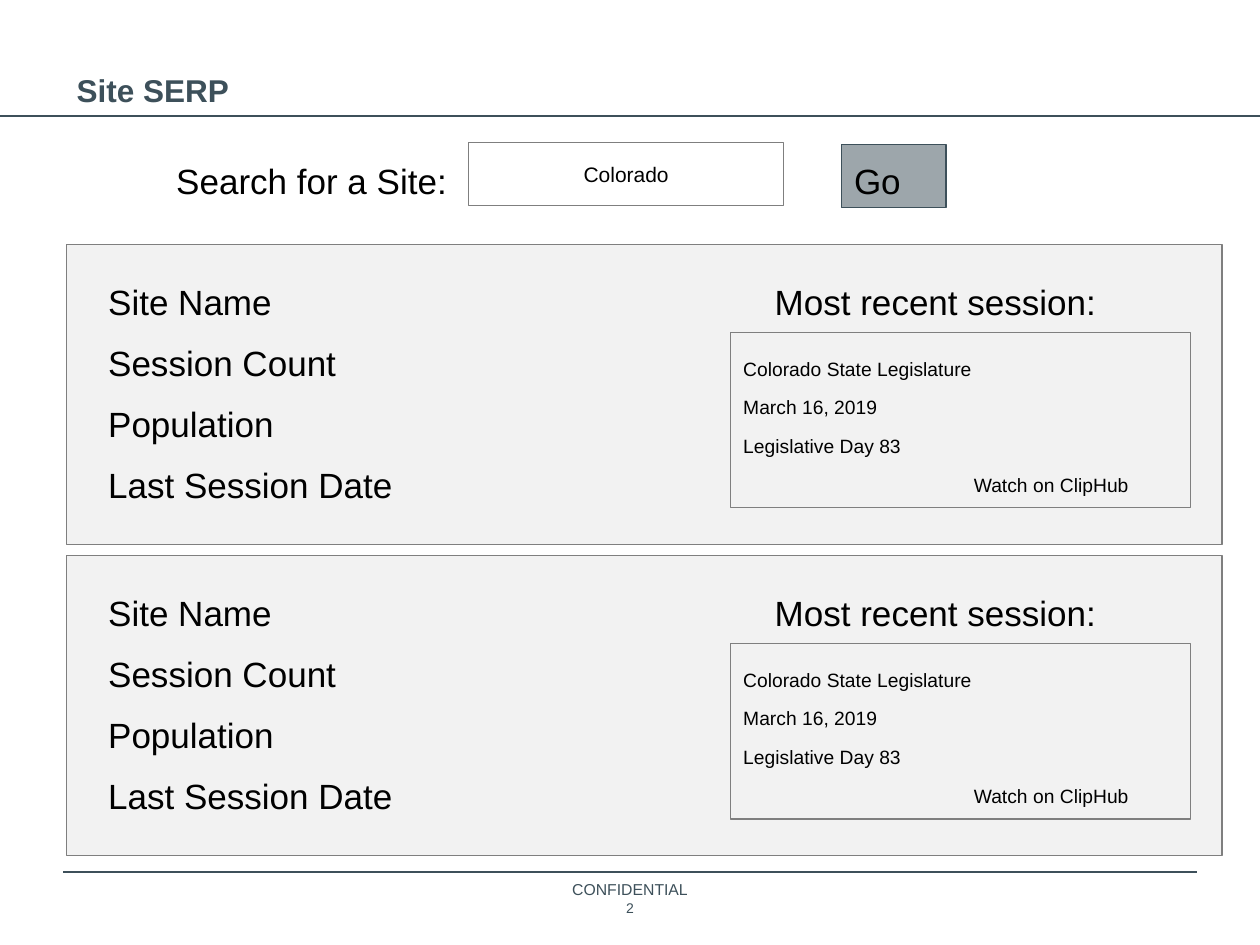
"""Build the site search results wireframe slide."""
import lxml.etree
import pptx
import pptx.dml.color
import pptx.enum.shapes
import pptx.enum.text
import pptx.oxml.ns
import pptx.util

Inches = pptx.util.Inches
Pt = pptx.util.Pt
RGBColor = pptx.dml.color.RGBColor
ALIGN = pptx.enum.text.PP_ALIGN
ANCHOR = pptx.enum.text.MSO_ANCHOR

SLATE = RGBColor(0x3D, 0x50, 0x5A)
BUTTON_GRAY = RGBColor(0x9D, 0xA6, 0xAB)
PANEL_GRAY = RGBColor(0xF2, 0xF2, 0xF2)
BORDER_GRAY = RGBColor(0x7F, 0x7F, 0x7F)
BLACK = RGBColor(0, 0, 0)
WHITE = RGBColor(0xFF, 0xFF, 0xFF)

SITE_FIELDS = ["Site Name", "Session Count", "Population", "Last Session Date"]
SESSION_DETAILS = ["Colorado State Legislature", "March 16, 2019", "Legislative Day 83"]
PANEL_TOPS = [1.94, 4.41]


def write_text(shape, lines, size, color=BLACK, bold=False, align=ALIGN.LEFT,
               anchor=ANCHOR.TOP, spacing=1.2, side_inset=0.1):
    frame = shape.text_frame
    frame.word_wrap = True
    frame.vertical_anchor = anchor
    frame.margin_left = frame.margin_right = Inches(side_inset)
    frame.margin_top = frame.margin_bottom = Inches(0.05)
    for index, line in enumerate(lines):
        para = frame.add_paragraph() if index else frame.paragraphs[0]
        para.text = line
        para.alignment = align
        para.line_spacing = spacing
        para.space_before = Pt(6 if index else 0)
        para.font.name = "Arial"
        para.font.size = Pt(size)
        para.font.bold = bold
        para.font.color.rgb = color


def add_text(page, left, top, width, height, lines, size, **style):
    box = page.shapes.add_textbox(Inches(left), Inches(top), Inches(width), Inches(height))
    write_text(box, lines, size, **style)


def add_box(page, left, top, width, height, fill, border):
    box = page.shapes.add_shape(pptx.enum.shapes.MSO_SHAPE.RECTANGLE, Inches(left),
                                Inches(top), Inches(width), Inches(height))
    box.shadow.inherit = False
    box.fill.solid()
    box.fill.fore_color.rgb = fill
    box.line.color.rgb = border
    box.line.width = Pt(0.75)
    return box


def add_rule(page, left, right, top):
    rule = page.shapes.add_connector(pptx.enum.shapes.MSO_CONNECTOR.STRAIGHT, Inches(left),
                                     Inches(top), Inches(right), Inches(top))
    rule.line.color.rgb = SLATE
    rule.line.width = Pt(0.75)
    properties = rule.element.find(pptx.oxml.ns.qn("p:spPr"))
    lxml.etree.SubElement(properties, pptx.oxml.ns.qn("a:effectLst"))


def add_footer(page):
    style = dict(color=SLATE, align=ALIGN.CENTER, anchor=ANCHOR.MIDDLE,
                 spacing=1.0, side_inset=0)
    add_rule(page, 0.5, 9.5, 6.92)
    add_text(page, 4.53, 6.96, 0.94, 0.19, ["CONFIDENTIAL"], 9, **style)
    add_text(page, 4.85, 7.11, 0.3, 0.19, ["2"], 8, **style)


def add_search_bar(page):
    add_text(page, 1.3, 1.15, 3.15, 0.5, ["Search for a Site:"], 20)
    field = add_box(page, 3.72, 1.13, 2.5, 0.5, WHITE, BORDER_GRAY)
    write_text(field, ["Colorado"], 12, align=ALIGN.CENTER, anchor=ANCHOR.MIDDLE, spacing=1.0)
    button = add_box(page, 6.68, 1.15, 0.83, 0.5, BUTTON_GRAY, SLATE)
    write_text(button, ["Go"], 20)


def add_result_panel(page, top):
    add_box(page, 0.53, top, 9.17, 2.38, PANEL_GRAY, BORDER_GRAY)
    add_text(page, 0.76, top + 0.17, 3.15, 1.56, SITE_FIELDS, 20)
    add_text(page, 6.05, top + 0.17, 3.15, 0.5, ["Most recent session:"], 20)
    add_box(page, 5.8, top + 0.7, 3.65, 1.39, PANEL_GRAY, BORDER_GRAY)
    add_text(page, 5.8, top + 0.81, 3.15, 0.5, SESSION_DETAILS, 11)
    add_text(page, 7.63, top + 1.73, 1.82, 0.5, ["Watch on ClipHub"], 11)


def main():
    deck = pptx.Presentation()
    deck.slide_width, deck.slide_height = Inches(10), Inches(7.5)
    page = deck.slides.add_slide(deck.slide_layouts[6])
    add_rule(page, 0, 10, 0.92)
    add_text(page, 0.51, 0.17, 9, 0.74, ["Site SERP"], 18, color=SLATE, bold=True,
             anchor=ANCHOR.BOTTOM, spacing=1.0)
    add_search_bar(page)
    for top in PANEL_TOPS:
        add_result_panel(page, top)
    add_footer(page)
    deck.save("out.pptx")


if __name__ == "__main__":
    main()
